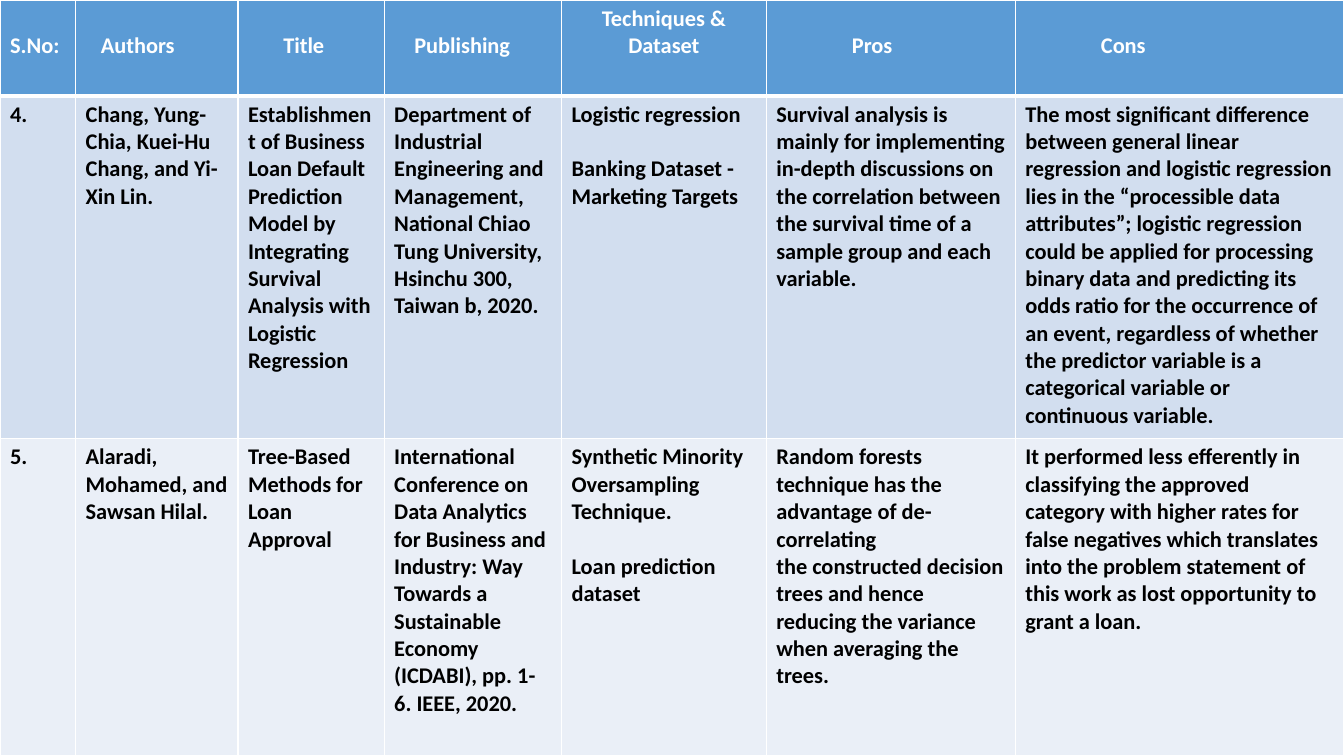
from lxml.etree import SubElement
from pptx import Presentation
from pptx.dml.color import RGBColor
from pptx.enum.text import PP_ALIGN
from pptx.oxml.ns import qn
from pptx.util import Inches, Pt

SLIDE_WIDTH, SLIDE_HEIGHT = 13.33, 7.5
COLORS = {"header": "5B9BD5", "odd": "D2DEEF", "even": "EAEFF7",
          "white": "FFFFFF", "black": "000000"}
FONT, SIZE = "Calibri", 16
LINE_HEIGHT = 19.5  # points
MARGIN = 0.1

# Heading, column width, left indent (None for a centred heading)
COLUMNS = [
    ("S.No:", 0.75, 0),
    ("Authors", 1.61, 0.15),
    ("Title", 1.45, 0.35),
    ("Publishing", 1.76, 0.2),
    ("Techniques & Dataset", 2.03, None),
    ("Pros", 2.47, 0.75),
    ("Cons", 3.26, 0.75),
]
ROW_HEIGHTS = [0.95, 3.4, 3.15]

# Each cell is a list of paragraphs
PAPERS = [
    [
        ["4."],
        ["Chang, Yung-Chia, Kuei-Hu Chang, and Yi-Xin Lin."],
        ["Establishment of Business Loan Default Prediction Model by Integrating "
         "Survival Analysis with Logistic Regression"],
        ["Department of Industrial Engineering and Management, National Chiao Tung "
         "University, Hsinchu 300, Taiwan b, 2020."],
        ["Logistic regression", "Banking Dataset - Marketing Targets"],
        ["Survival analysis is mainly for implementing in-depth discussions on the "
         "correlation between the survival time of a sample group and each variable."],
        ["The most significant difference between general linear regression and "
         "logistic regression lies in the “processible data attributes”; logistic "
         "regression could be applied for processing binary data and predicting its "
         "odds ratio for the occurrence of an event, regardless of whether the "
         "predictor variable is a categorical variable or continuous variable."],
    ],
    [
        ["5."],
        ["Alaradi, Mohamed, and Sawsan Hilal."],
        ["Tree-Based Methods for Loan Approval"],
        ["International Conference on Data Analytics for Business and Industry: Way "
         "Towards a Sustainable Economy (ICDABI), pp. 1-6. IEEE, 2020."],
        ["Synthetic Minority Oversampling Technique.", "Loan prediction dataset"],
        ["Random forests technique has the advantage of de-correlating",
         "the constructed decision trees and hence reducing the variance when "
         "averaging the trees."],
        ["It performed less efferently in classifying the approved category with "
         "higher rates for false negatives which translates into the problem "
         "statement of this work as lost opportunity to grant a loan."],
    ],
]
DATASET_COLUMN = 4


def draw_borders(cell, top=1, bottom=1):
    properties = cell._tc.get_or_add_tcPr()
    for side, points in (("L", 1), ("R", 1), ("T", top), ("B", bottom)):
        line = SubElement(properties, qn(f"a:ln{side}"), w=str(Pt(points)))
        fill = SubElement(line, qn("a:solidFill"))
        SubElement(fill, qn("a:srgbClr"), val=COLORS["white"])


def fill_cell(cell, paragraphs, fill, color, align=PP_ALIGN.LEFT, gap=0,
              indent=0, top=0.05):
    cell.fill.solid()
    cell.fill.fore_color.rgb = RGBColor.from_string(COLORS[fill])
    cell.margin_left = Inches(MARGIN + indent)
    cell.margin_top = Inches(top)
    frame = cell.text_frame
    for index, text in enumerate(paragraphs):
        para = frame.add_paragraph() if index else frame.paragraphs[0]
        para.alignment = align
        para.space_before = Pt(gap if index else 0)
        span = para.add_run()
        span.text = text
        span.font.name = FONT
        span.font.size = Pt(SIZE)
        span.font.bold = True
        span.font.color.rgb = RGBColor.from_string(COLORS[color])


def main():
    deck = Presentation()
    deck.slide_width, deck.slide_height = Inches(SLIDE_WIDTH), Inches(SLIDE_HEIGHT)
    page = deck.slides.add_slide(deck.slide_layouts[6])
    table = page.shapes.add_table(len(ROW_HEIGHTS), len(COLUMNS), 0, 0,
                                  deck.slide_width, deck.slide_height).table
    for row, height in zip(table.rows, ROW_HEIGHTS):
        row.height = Inches(height)

    for column, (heading, width, indent) in enumerate(COLUMNS):
        table.columns[column].width = Inches(width)
        cell = table.cell(0, column)
        draw_borders(cell, bottom=3)
        if indent is None:
            fill_cell(cell, [heading], "header", "white", align=PP_ALIGN.CENTER)
        else:
            fill_cell(cell, [heading], "header", "white", indent=indent, top=0.32)

    for row, paper in enumerate(PAPERS, start=1):
        for column, paragraphs in enumerate(paper):
            cell = table.cell(row, column)
            draw_borders(cell, top=3 if row == 1 else 1)
            fill_cell(cell, paragraphs, "odd" if row % 2 else "even", "black",
                      gap=LINE_HEIGHT if column == DATASET_COLUMN else 0)

    deck.save("out.pptx")


if __name__ == "__main__":
    main()
